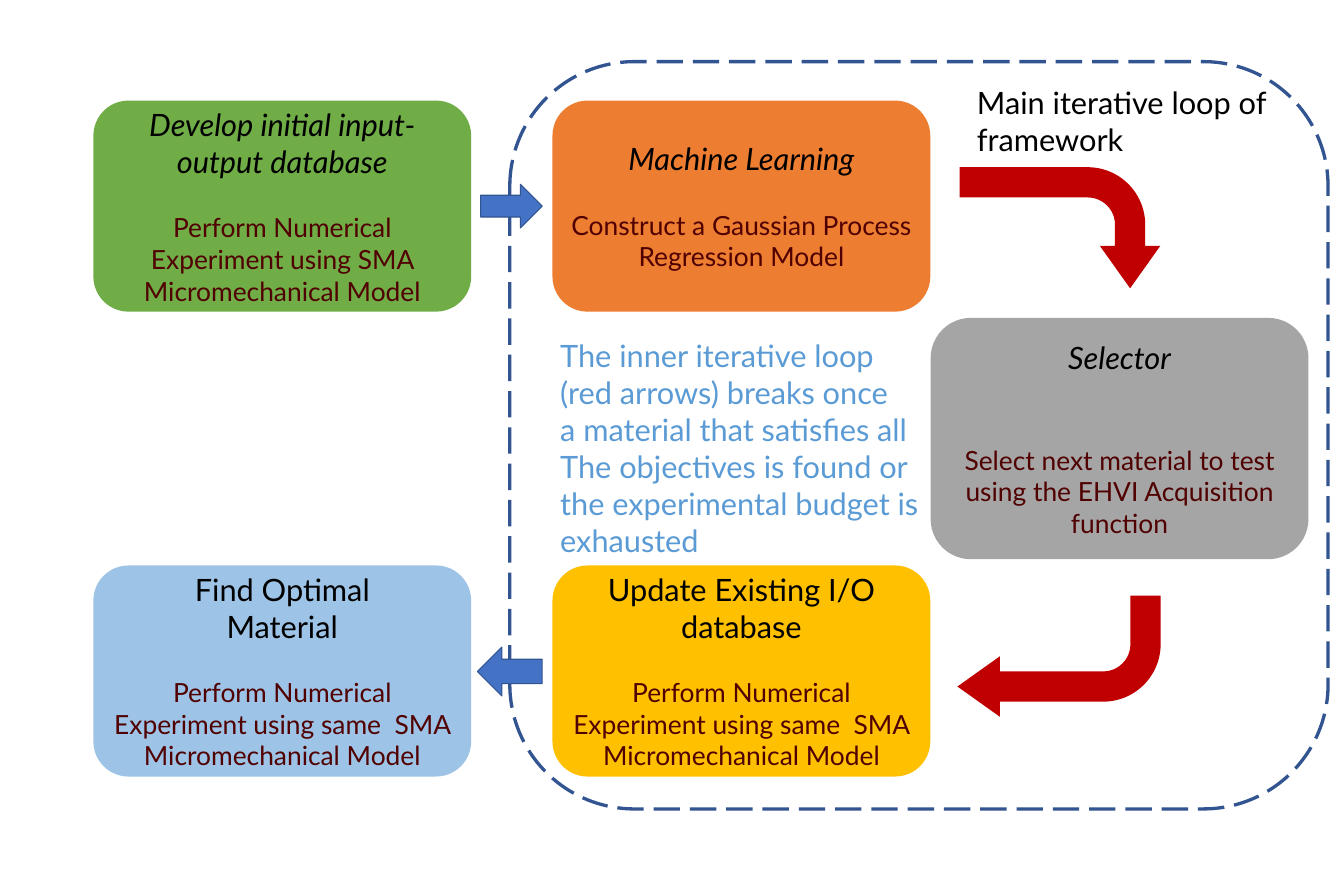
import pptx
import pptx.util
import pptx.dml.color
import pptx.enum.dml
import pptx.enum.shapes
import pptx.enum.text

Cm, Pt = pptx.util.Cm, pptx.util.Pt
KIND = pptx.enum.shapes.MSO_SHAPE
ALIGN = pptx.enum.text.PP_ALIGN
ANCHOR = pptx.enum.text.MSO_ANCHOR
FIT = pptx.enum.text.MSO_AUTO_SIZE

HUES = {
    "green": "70AD47", "orange": "ED7D31", "gray": "A5A5A5",
    "gold": "FFC000", "sky": "9DC3E6", "red": "C00000",
    "blue": "4472C4", "navy": "325491", "note": "5B9BD5",
    "black": "000000", "maroon": "500000",
}
COLS = (3, 17.75, 29.9)
ROWS = (3.23, 10.21, 18.16)
WIDE, TALL = 12.14, 6.78

RERUN = "Perform Numerical Experiment using same  SMA Micromechanical Model"
CARDS = [
    (0, 0, TALL, "green", True, ["Develop initial input-output database"],
     "Perform Numerical Experiment using SMA Micromechanical Model", 28.8),
    (1, 0, TALL, "orange", True, ["Machine Learning"],
     "Construct a Gaussian Process Regression Model", 28.8),
    (2, 1, 7.75, "gray", True, ["Selector"],
     "Select next material to test using the EHVI Acquisition function", 62.4),
    (1, 2, TALL, "gold", False, ["Update Existing I/O database"], RERUN, 28.8),
    (0, 2, TALL, "sky", False, ["Find Optimal", "Material"], RERUN, 28.8),
]
BENDS = [
    ((32.11, 4.09, 3.89, 6.45), 90),
    ((30.76, 19.13, 6.53, 3.89), 180),
]
BEND = (0.25, 0.25, 0.351, 0.475)
LOOP = (16.38, 1.98, 26.29, 24)
NOTES = [
    ((31.14, 2.57, 9.9, 2.64), "black",
     ["Main iterative loop of", "framework"]),
    ((COLS[1], 10.69, 12.05, 7.44), "note",
     ["The inner iterative loop", "(red arrows) breaks once",
      "a material that satisfies all", "The objectives is found or",
      "the experimental budget is", "exhausted"]),
]
STEPS = [
    (KIND.RIGHT_ARROW, (15.44, 5.92, 1.98, 1.4)),
    (KIND.LEFT_ARROW, (15.34, 20.78, 2.08, 1.57)),
]


def tint(name):
    return pptx.dml.color.RGBColor.from_string(HUES[name])


def write(frame, text, size=28, color="black", italic=False, align=ALIGN.LEFT, gap=0):
    para = frame.paragraphs[0]
    if para.runs:
        para = frame.add_paragraph()
    para.alignment = align
    para.space_before = Pt(gap)
    run = para.add_run()
    run.text = text
    font = run.font
    font.name, font.size, font.italic = "Lato", Pt(size), italic
    font.color.rgb = tint(color)


def draw(slide, kind, place, fill=None, line=None, width=1):
    shape = slide.shapes.add_shape(kind, *map(Cm, place))
    shape.shadow.inherit = False
    if fill:
        shape.fill.solid()
        shape.fill.fore_color.rgb = tint(fill)
    else:
        shape.fill.background()
    if line:
        shape.line.color.rgb = tint(line)
        shape.line.width = Pt(width)
    else:
        shape.line.fill.background()
    return shape


def main():
    deck = pptx.Presentation()
    deck.slide_width, deck.slide_height = Cm(43.18), Cm(27.94)
    slide = deck.slides.add_slide(deck.slide_layouts[6])

    for col, row, tall, fill, italic, heads, body, gap in CARDS:
        place = (COLS[col], ROWS[row], WIDE, tall)
        frame = draw(slide, KIND.ROUNDED_RECTANGLE, place, fill).text_frame
        frame.word_wrap = True
        frame.vertical_anchor = ANCHOR.MIDDLE
        for head in heads:
            write(frame, head, italic=italic, align=ALIGN.CENTER)
        write(frame, body, size=24, color="maroon", align=ALIGN.CENTER, gap=gap)

    for place, turn in BENDS:
        bend = draw(slide, KIND.BENT_ARROW, place, "red")
        bend.rotation = turn
        for i, value in enumerate(BEND):
            bend.adjustments[i] = value

    loop = draw(slide, KIND.ROUNDED_RECTANGLE, LOOP, line="navy", width=3)
    loop.line.dash_style = pptx.enum.dml.MSO_LINE.LONG_DASH

    for place, color, lines in NOTES:
        frame = slide.shapes.add_textbox(*map(Cm, place)).text_frame
        frame.word_wrap = False
        frame.auto_size = FIT.SHAPE_TO_FIT_TEXT
        for text in lines:
            write(frame, text, color=color)

    for kind, place in STEPS:
        draw(slide, kind, place, "blue", "navy")

    deck.save("out.pptx")


if __name__ == "__main__":
    main()
